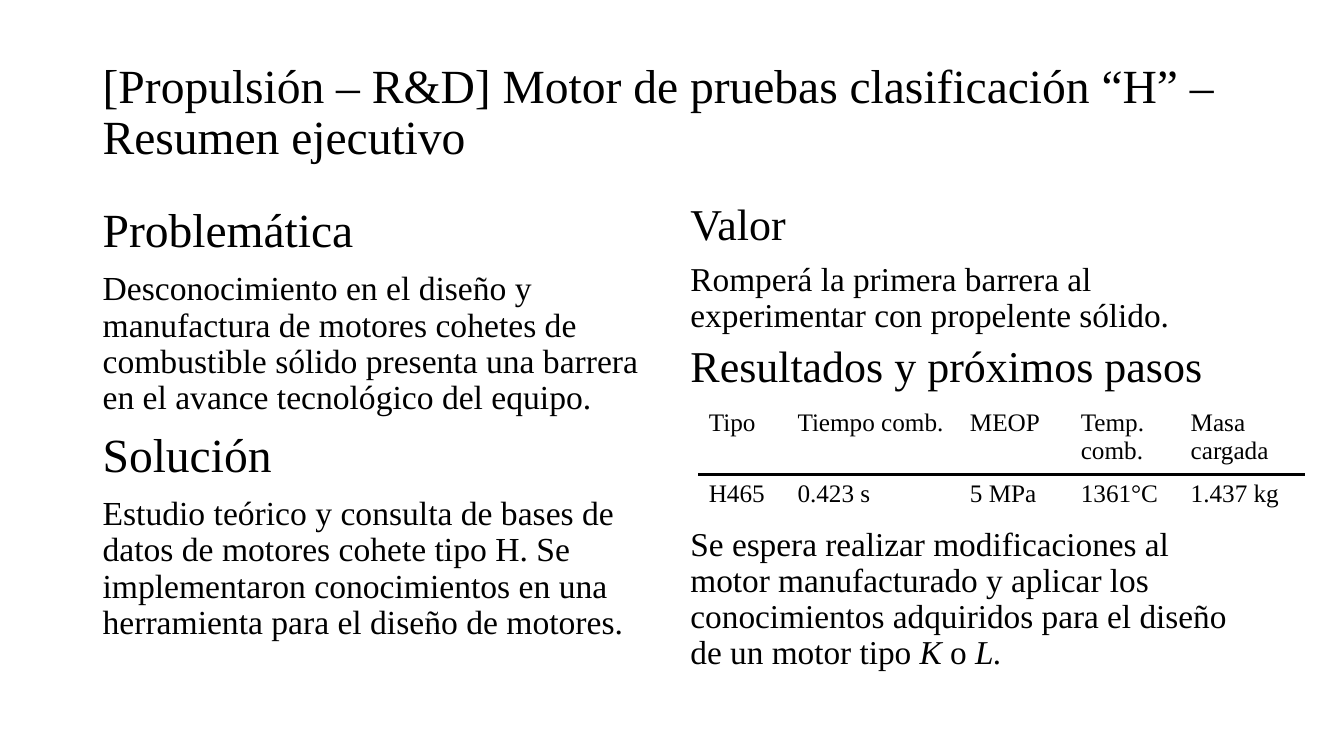
from dataclasses import dataclass

from lxml import etree
from pptx import Presentation
from pptx import util as u
from pptx.dml.color import RGBColor
from pptx.enum import text
from pptx.oxml import ns

PX = 9144  # 100 px to the inch


@dataclass
class Theme:
    font: str = "Times New Roman"
    ink: str = "000000"
    title: float = 34
    left_heading: float = 34
    left_body: float = 24
    right_heading: float = 31.4
    right_body: float = 23.8
    cell: float = 18
    rule: float = 2.25


theme = Theme()


def add_run(paragraph, words, size, italic=False):
    run = paragraph.add_run()
    run.text = words
    run.font.name = theme.font
    run.font.size = u.Pt(size)
    run.font.italic = italic
    run.font.color.rgb = RGBColor.from_string(theme.ink)


def add_text_frame(left, top, width, height):
    box = slide.shapes.add_textbox(*(n * PX for n in (left, top, width, height)))
    box.text_frame.word_wrap = True
    return box.text_frame


presentation = Presentation()
presentation.slide_width = 1333 * PX
presentation.slide_height = 750 * PX
slide = presentation.slides.add_slide(presentation.slide_layouts[6])

# Title
title_frame = add_text_frame(92, 40, 1150, 145)
title_frame.vertical_anchor = text.MSO_ANCHOR.MIDDLE
title = title_frame.paragraphs[0]
title.line_spacing = 0.9
add_run(title, "[Propulsión – R&D] Motor de pruebas clasificación “H” –", theme.title)
title.add_line_break()
add_run(title, "Resumen ejecutivo", theme.title)

# Columns: each paragraph is size, line spacing, space before, runs (words, italic)
left_column = [
    (theme.left_heading, 0.9, 10, [("Problemática", False)]),
    (theme.left_body, 0.9, 10, [(
        "Desconocimiento en el diseño y manufactura de motores cohetes de "
        "combustible sólido presenta una barrera en el avance tecnológico "
        "del equipo.", False)]),
    (theme.left_heading, 0.9, 10, [("Solución", False)]),
    (theme.left_body, 0.9, 10, [(
        "Estudio teórico y consulta de bases de datos de motores cohete tipo H. "
        "Se implementaron conocimientos en una herramienta para el diseño de "
        "motores.", False)]),
]
TABLE_GAP = 98  # points left free for the table
right_column = [
    (theme.right_heading, 0.8, 10, [("Valor", False)]),
    (theme.right_body, 0.9, 10, [(
        "Romperá la primera barrera al experimentar con propelente sólido.", False)]),
    (theme.right_heading, 0.8, 10, [("Resultados y próximos pasos", False)]),
    (theme.right_body, 0.9, TABLE_GAP, [
        ("Se espera realizar modificaciones al motor manufacturado y aplicar los "
         "conocimientos adquiridos para el diseño de un motor tipo ", False),
        ("K", True), (" o ", False), ("L.", True)]),
]
for left, column in ((92, left_column), (675, right_column)):
    frame = add_text_frame(left, 200, 567, 476)
    for index, (size, line_spacing, space_before, runs) in enumerate(column):
        paragraph = frame.add_paragraph() if index else frame.paragraphs[0]
        paragraph.line_spacing = line_spacing
        paragraph.space_before = u.Pt(space_before)
        for words, italic in runs:
            add_run(paragraph, words, size, italic)

# Results table, with one rule between its two rows
results = [
    ("Tipo", "Tiempo comb.", "MEOP", "Temp. comb.", "Masa cargada"),
    ("H465", "0.423 s", "5 MPa", "1361°C", "1.437 kg"),
]
column_widths = (88, 171, 110, 109, 123)
row_heights = (65, 53)
table = slide.shapes.add_table(
    len(results), len(column_widths), 693 * PX, 401 * PX,
    sum(column_widths) * PX, sum(row_heights) * PX).table
table.first_row = False
table.horz_banding = False
for column, width in zip(table.columns, column_widths):
    column.width = width * PX
for row, height, values, edge in zip(table.rows, row_heights, results, ("lnB", "lnT")):
    row.height = height * PX
    for cell, value in zip(row.cells, values):
        add_run(cell.text_frame.paragraphs[0], value, theme.cell)
        cell.fill.background()
        line = etree.Element(ns.qn(f"a:{edge}"), w=str(u.Pt(theme.rule)))
        fill = etree.SubElement(line, ns.qn("a:solidFill"))
        etree.SubElement(fill, ns.qn("a:srgbClr"), val=theme.ink)
        cell.fill  # the border goes ahead of the fill
        cell._tc.get_or_add_tcPr().insert(0, line)

presentation.save("out.pptx")
